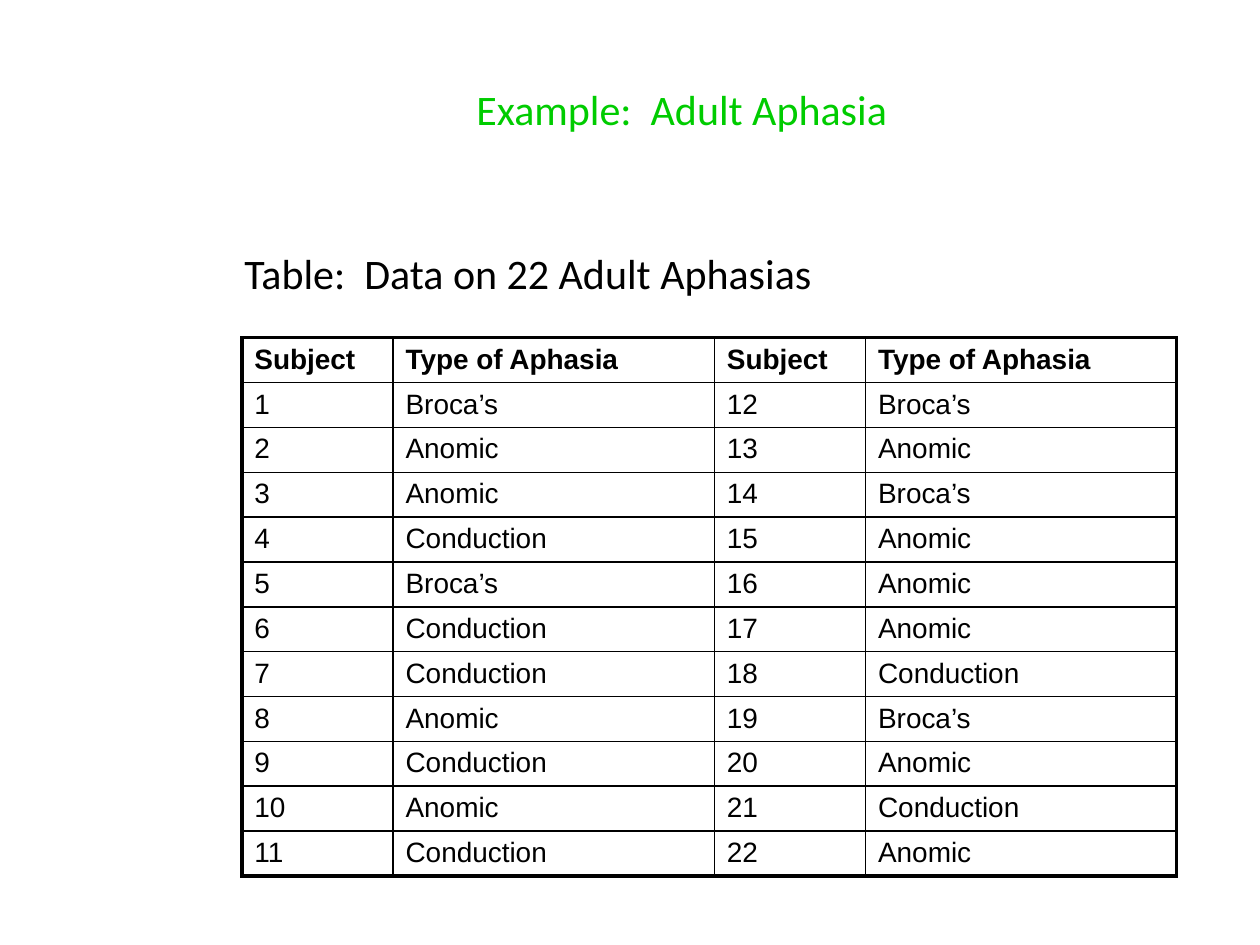
import pptx
import pptx.dml.color
import pptx.enum.text
import pptx.oxml.ns
import pptx.util
from lxml import etree

Pt = pptx.util.Pt
BLACK = "000000"
GREEN = "00CC00"
THIN, THICK = 1, 2.25
HEADINGS = ["Subject", "Type of Aphasia"]
APHASIA_TYPES = [
    "Broca’s", "Anomic", "Anomic", "Conduction", "Broca’s", "Conduction",
    "Conduction", "Anomic", "Conduction", "Anomic", "Conduction",
    "Broca’s", "Anomic", "Broca’s", "Anomic", "Anomic", "Anomic",
    "Conduction", "Broca’s", "Anomic", "Conduction", "Anomic",
]
COLUMN_WIDTHS = [86.4, 183.6, 86.4, 177.8]
ROW_HEIGHT = 25.65


def color(hex_code):
    return pptx.dml.color.RGBColor.from_string(hex_code)


def format_para(para, name, size, hex_code, bold=False):
    para.font.name = name
    para.font.size = Pt(size)
    para.font.bold = bold
    para.font.color.rgb = color(hex_code)


def place(box, left, top, width, height):
    box.left, box.top = Pt(left), Pt(top)
    box.width, box.height = Pt(width), Pt(height)


def add_title(page, left, top, width, height):
    title = page.shapes.title
    place(title, left, top, width, height)
    frame = title.text_frame
    frame.text = "Example:  Adult Aphasia"
    frame.auto_size = pptx.enum.text.MSO_AUTO_SIZE.NONE
    frame.vertical_anchor = pptx.enum.text.MSO_ANCHOR.TOP
    para = frame.paragraphs[0]
    para.alignment = pptx.enum.text.PP_ALIGN.CENTER
    format_para(para, "Calibri", 24, GREEN)


def add_caption(page, left, top, width, height):
    box = page.shapes.add_textbox(Pt(left), Pt(top), Pt(width), Pt(height))
    frame = box.text_frame
    frame.word_wrap = True
    frame.text = "Table:  Data on 22 Adult Aphasias"
    para = frame.paragraphs[0]
    properties = para._p.get_or_add_pPr()
    properties.set("marL", str(Pt(28.8)))
    properties.set("indent", str(Pt(-22.3)))
    format_para(para, "Calibri", 24, BLACK)


def add_border(cell, side, width):
    qn = pptx.oxml.ns.qn
    line = etree.SubElement(cell._tc.get_or_add_tcPr(), qn("a:ln" + side), w=str(Pt(width)))
    fill = etree.SubElement(line, qn("a:solidFill"))
    etree.SubElement(fill, qn("a:srgbClr"), val=BLACK)


def add_data_table(page, left, top):
    half = len(APHASIA_TYPES) // 2
    rows = [HEADINGS * 2]
    for i in range(half):
        rows.append([str(i + 1), APHASIA_TYPES[i], str(i + 1 + half), APHASIA_TYPES[i + half]])
    last_row, last_column = len(rows) - 1, len(COLUMN_WIDTHS) - 1

    table = page.shapes.add_table(
        len(rows), len(COLUMN_WIDTHS), Pt(left), Pt(top),
        Pt(sum(COLUMN_WIDTHS)), Pt(ROW_HEIGHT * len(rows))).table
    for column, width in zip(table.columns, COLUMN_WIDTHS):
        column.width = Pt(width)
    for r, texts in enumerate(rows):
        table.rows[r].height = Pt(ROW_HEIGHT)
        for c, text in enumerate(texts):
            cell = table.cell(r, c)
            cell.text = text
            format_para(cell.text_frame.paragraphs[0], "Arial", 16, BLACK, bold=r == 0)
            outer_sides = {"L": c == 0, "R": c == last_column, "T": r == 0, "B": r == last_row}
            for side, is_outer in outer_sides.items():
                add_border(cell, side, THICK if is_outer else THIN)
            cell.fill.background()


def main():
    deck = pptx.Presentation()
    deck.slide_width, deck.slide_height = Pt(720), Pt(540)
    page = deck.slides.add_slide(deck.slide_layouts.get_by_name("Title Only"))
    add_title(page, 131.8, 43.9, 515.5, 58.3)
    add_data_table(page, 138.2, 193)
    add_caption(page, 126, 138.2, 509.8, 48.2)
    deck.save("out.pptx")


if __name__ == "__main__":
    main()
